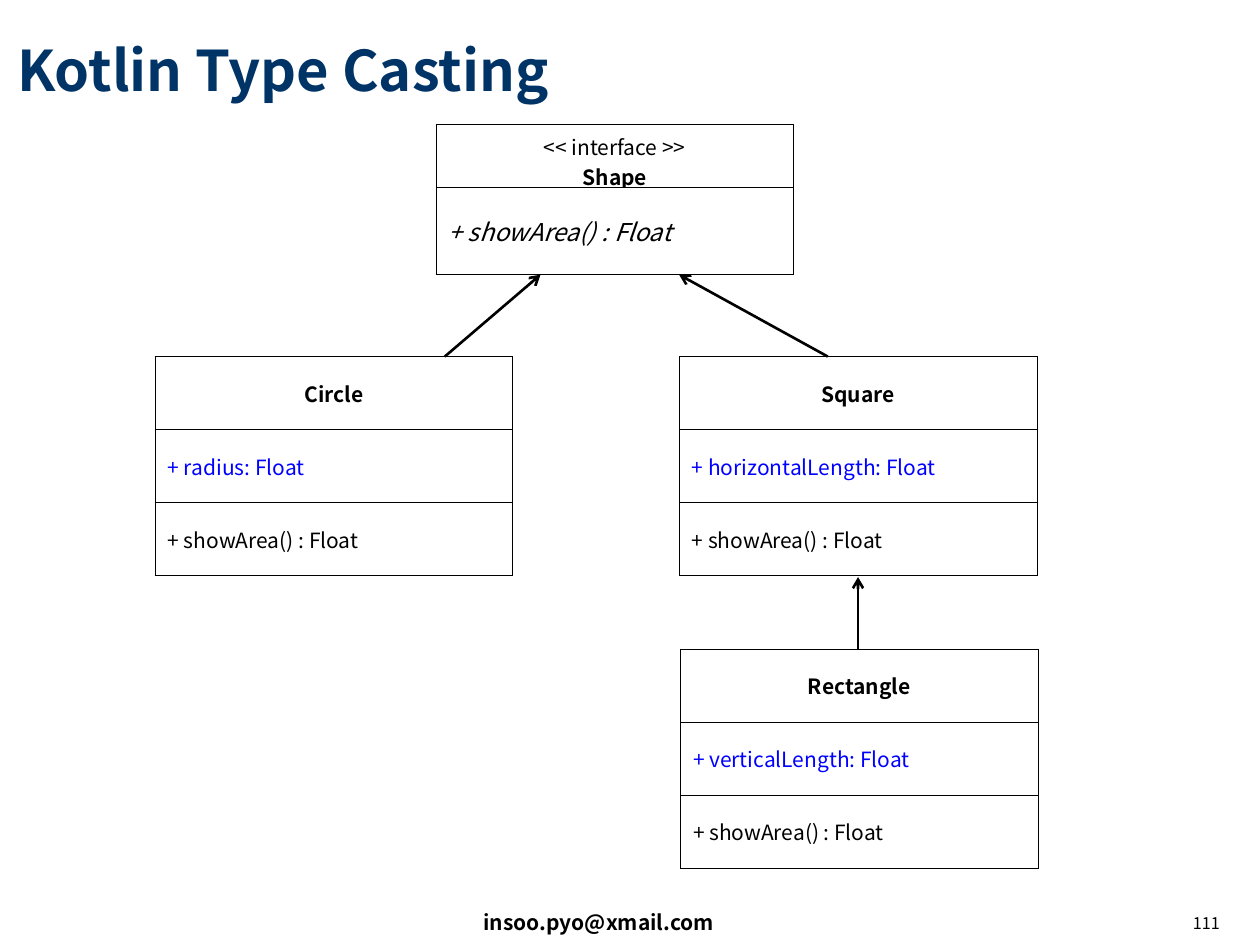
"""Build a class diagram slide about Kotlin type casting."""
from lxml.etree import SubElement
from pptx import Presentation
from pptx.dml.color import RGBColor as Rgb
from pptx.enum.shapes import MSO_CONNECTOR as Link
from pptx.enum.text import MSO_ANCHOR as Anchor, PP_ALIGN as Align
from pptx.oxml import parse_xml
from pptx.oxml.ns import nsdecls, qn
from pptx.util import Inches, Pt

FONT = "Noto Sans CJK KR"
INK = {"black": "000000", "white": "FFFFFF", "navy": "003366", "blue": "0000FF"}

HEAD = {"size": 12, "bold": True, "align": Align.CENTER}
FIELD = {"size": 12, "ink": "blue"}
CALL = {"size": 12}
SHOW = "+ showArea() : Float"

TEXTS = [
    ("insoo.pyo@xmail.com", (3.74, 7.17, 3.23, 0.3), Anchor.TOP, {"size": 12, "bold": True}),
    ("Kotlin Type Casting", (0.04, 0.09, 9.66, 0.91), Anchor.MIDDLE,
     {"size": 32, "bold": True, "ink": "navy"}),
    ("111", (7.7, 7.22, 2.08, 0.28), Anchor.TOP,
     {"size": 9.2, "align": Align.RIGHT, "space": 0.9}),
]
BASE = (3.46, 0.99, [0.5, 0.69], [
    [("<< interface >>", {"size": 12, "align": Align.CENTER}), ("Shape", HEAD)],
    [(SHOW, {"size": 14, "italic": True})],
])
KINDS = [
    ("Circle", "radius", 1.23, 2.83),
    ("Square", "horizontalLength", 5.39, 2.83),
    ("Rectangle", "verticalLength", 5.4, 5.15),
]
WIDTH, ROW = 2.84, 0.58
ARROWS = [
    ((3.53, 2.83), (4.29, 2.18)),
    ((6.57, 2.83), (5.39, 2.18)),
    ((6.81, 5.15), (6.81, 4.58)),
]


def style(para, size, bold=False, italic=False, ink="black", align=Align.LEFT, space=None):
    para.alignment = align
    para.line_spacing = space
    for run in para.runs:
        font = run.font
        font.name, font.size, font.bold, font.italic = FONT, Pt(size), bold, italic
        font.color.rgb = Rgb.from_string(INK[ink])
        SubElement(run._r.get_or_add_rPr(), qn("a:ea")).set("typeface", FONT)


def add_text(slide, text, place, anchor, look):
    frame = slide.shapes.add_textbox(*map(Inches, place)).text_frame
    frame.word_wrap = True
    frame.vertical_anchor = anchor
    frame.text = text
    style(frame.paragraphs[0], **look)


def edge(cell):
    props = cell._tc.get_or_add_tcPr()
    for spot, side in enumerate("LRTB"):
        props.insert(spot, parse_xml(
            f'<a:ln{side} {nsdecls("a")} w="{Pt(0.45)}"><a:solidFill>'
            f'<a:srgbClr val="{INK["black"]}"/></a:solidFill></a:ln{side}>'))


def add_class(slide, left, top, rows, cells):
    place = map(Inches, (left, top, WIDTH, sum(rows)))
    table = slide.shapes.add_table(len(rows), 1, *place).table
    table.first_row = table.horz_banding = False
    for spot, (high, lines) in enumerate(zip(rows, cells)):
        table.rows[spot].height = Inches(high)
        cell = table.cell(spot, 0)
        cell.fill.solid()
        cell.fill.fore_color.rgb = Rgb.from_string(INK["white"])
        cell.vertical_anchor = Anchor.MIDDLE
        cell.text_frame.text = "\n".join(text for text, _ in lines)
        for para, (_, look) in zip(cell.text_frame.paragraphs, lines):
            style(para, **look)
        edge(cell)


def add_arrow(slide, start, end):
    link = slide.shapes.add_connector(Link.STRAIGHT, *map(Inches, start + end))
    link.line.width = Pt(1.5)
    link.line.color.rgb = Rgb.from_string(INK["black"])
    SubElement(link.line._get_or_add_ln(), qn("a:tailEnd")).set("type", "arrow")
    SubElement(link._element.spPr, qn("a:effectLst"))


def main():
    deck = Presentation()
    deck.slide_width, deck.slide_height = Inches(10), Inches(7.5)
    slide = deck.slides.add_slide(deck.slide_layouts[6])
    for item in TEXTS:
        add_text(slide, *item)
    add_class(slide, *BASE)
    for name, field, left, top in KINDS:
        cells = [[(name, HEAD)], [(f"+ {field}: Float", FIELD)], [(SHOW, CALL)]]
        add_class(slide, left, top, [ROW] * len(cells), cells)
    for start, end in ARROWS:
        add_arrow(slide, start, end)
    deck.save("out.pptx")


if __name__ == "__main__":
    main()
